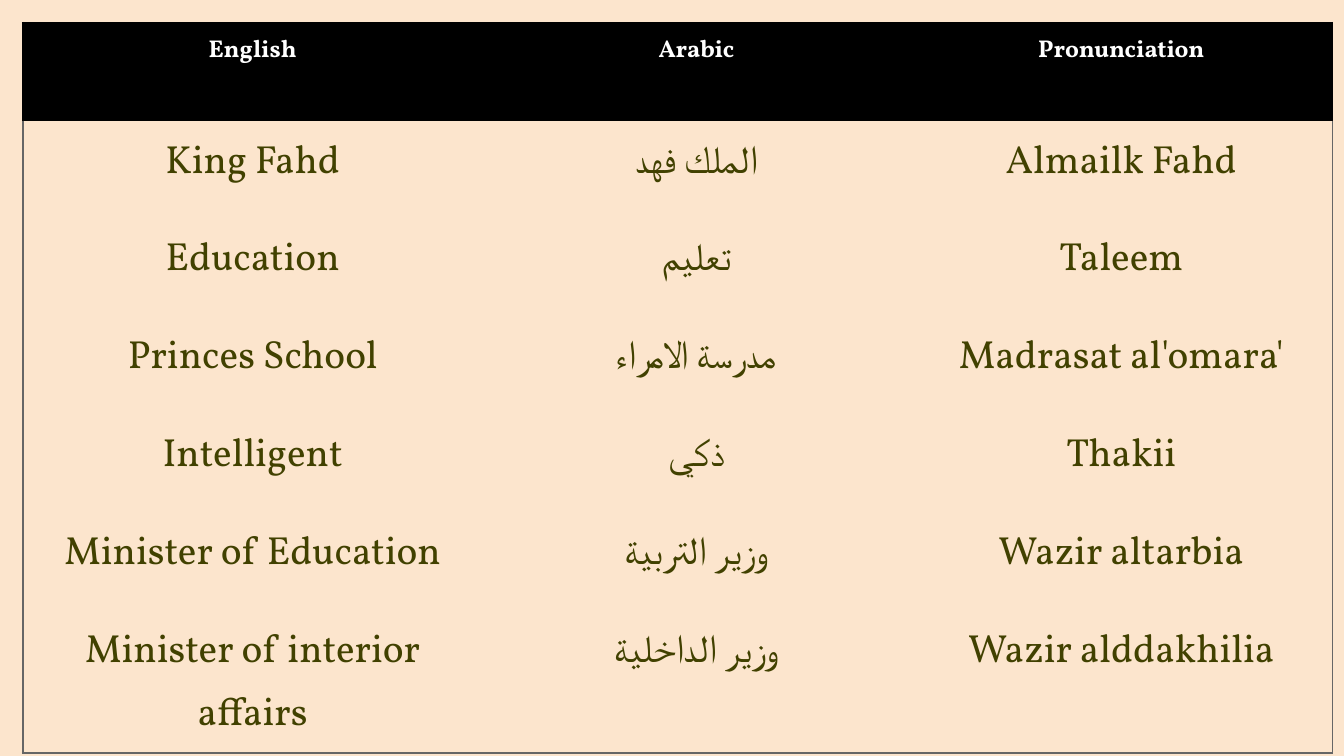
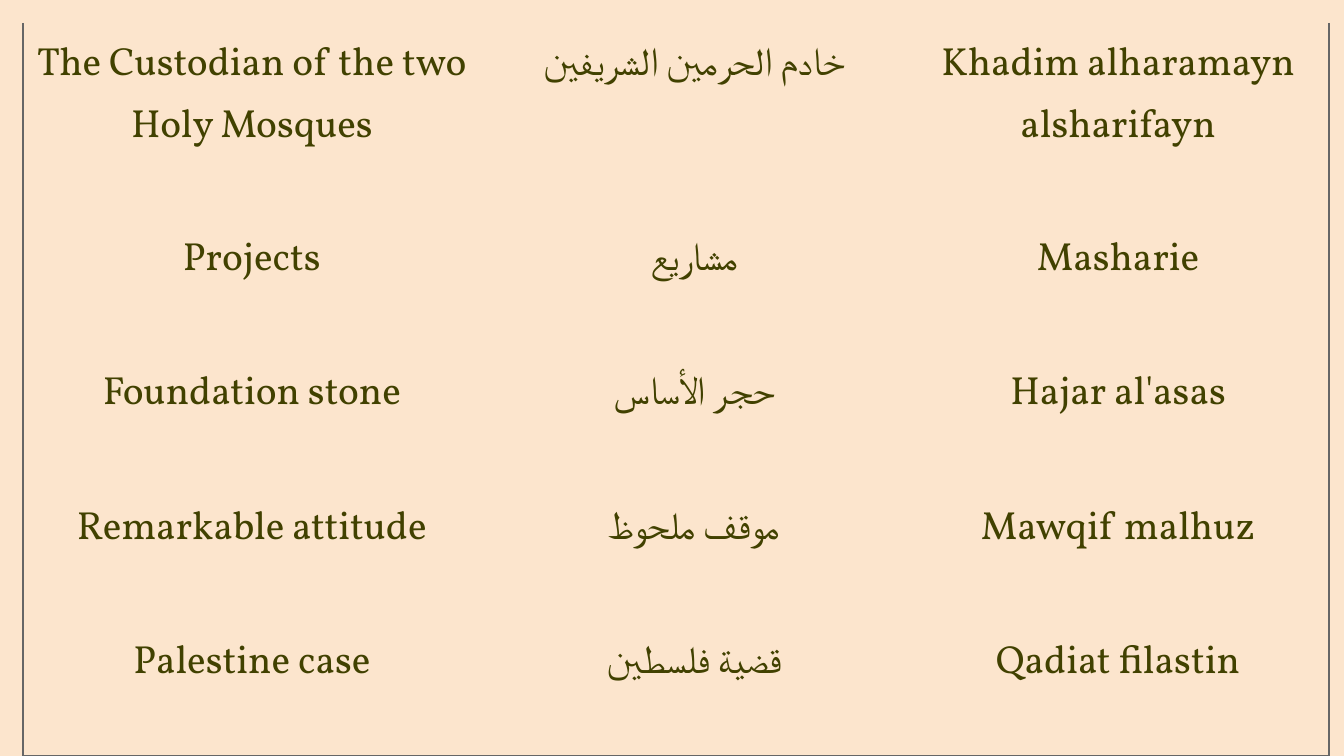
from pptx import Presentation
from pptx.dml.color import RGBColor
from pptx.enum.text import PP_ALIGN
from pptx.oxml.xmlchemy import OxmlElement
from pptx.util import Cm, Pt

CENTER = PP_ALIGN.CENTER
SAND = RGBColor(0xFC, 0xE5, 0xCD)
OLIVE = RGBColor(0x41, 0x41, 0x00)
GREY = RGBColor(0x66, 0x66, 0x66)
BLACK = RGBColor(0x00, 0x00, 0x00)
WHITE = RGBColor(0xFF, 0xFF, 0xFF)
FONT = "Vollkorn"
MARGIN = Cm(0.43)

HEADER = ("English", "Arabic", "Pronunciation")
PEOPLE = [
    HEADER,
    ("King Fahd", "الملك فهد", "Almailk Fahd"),
    ("Education", "تعليم", "Taleem"),
    ("Princes School", "مدرسة الامراء", "Madrasat al'omara'"),
    ("Intelligent", "ذكي", "Thakii"),
    ("Minister of Education", "وزير التربية", "Wazir altarbia"),
    ("Minister of interior affairs", "وزير الداخلية", "Wazir alddakhilia"),
]
PLACES = [
    ("The Custodian of the two Holy Mosques", "خادم الحرمين الشريفين",
     "Khadim alharamayn alsharifayn"),
    ("Projects", "مشاريع", "Masharie"),
    ("Foundation stone", "حجر الأساس", "Hajar al'asas"),
    ("Remarkable attitude", "موقف ملحوظ", "Mawqif malhuz"),
    ("Palestine case", "قضية فلسطين", "Qadiat filastin"),
]
# words, column widths, row heights, first row with space after its pronunciation
PAGES = [
    (PEOPLE, (8.69, 8.08, 7.98), [1.85] * 6 + [2.7], 5),
    (PLACES, (8.66, 8.05, 7.98), [3.69] + [2.54] * 4, 0),
]


def set_borders(cell, colors):
    """Draw the sides named in colors (L, R, T, B) and clear the others."""
    tcPr = cell._tc.get_or_add_tcPr()
    for side in "LRTB":
        ln = OxmlElement(f"a:ln{side}")
        tcPr.append(ln)
        if side in colors:
            ln.set("w", str(Pt(0.96)))
            fill = OxmlElement("a:solidFill")
            clr = OxmlElement("a:srgbClr")
            clr.set("val", str(colors[side]))
            fill.append(clr)
            ln.append(fill)
        else:
            ln.append(OxmlElement("a:noFill"))


def write_cell(cell, text, is_header, spaced_after):
    cell.margin_left = cell.margin_right = Cm(0.18)
    cell.margin_top = cell.margin_bottom = Cm(0.13)
    p = cell.text_frame.paragraphs[0]
    p.alignment = CENTER
    p.line_spacing = 1.15
    p.space_before = Pt(0 if spaced_after else 12)
    p.space_after = Pt(5 if spaced_after else 0)
    r = p.add_run()
    r.text = text
    r.font.size = Pt(13 if is_header else 21)
    r.font.bold = is_header
    r.font.color.rgb = WHITE if is_header else OLIVE
    r.font.name = FONT
    cs = OxmlElement("a:cs")
    cs.set("typeface", FONT)
    r.font._element.append(cs)


prs = Presentation()
prs.slide_width, prs.slide_height = Cm(25.4), Cm(14.29)
blank = prs.slide_layouts[6]

for words, widths, heights, spaced_from in PAGES:
    s = prs.slides.add_slide(blank)
    s.background.fill.solid()
    s.background.fill.fore_color.rgb = SAND

    table = s.shapes.add_table(len(words), len(widths), MARGIN, MARGIN,
                               Cm(sum(widths)), Cm(sum(heights))).table
    table.horz_banding = False
    table.first_row = words[0] == HEADER
    for column, width in zip(table.columns, widths):
        column.width = Cm(width)

    last_row, last_col = len(words) - 1, len(widths) - 1
    for i, (row, height) in enumerate(zip(words, heights)):
        table.rows[i].height = Cm(height)
        is_header = row == HEADER
        line = BLACK if is_header else GREY
        for j, text in enumerate(row):
            cell = table.cell(i, j)
            borders = {}
            if j == 0:
                borders["L"] = line
            if j == last_col:
                borders["R"] = line
            if is_header:
                borders["T"] = line
            if i == last_row:
                borders["B"] = line
            set_borders(cell, borders)
            if is_header:
                cell.fill.solid()
                cell.fill.fore_color.rgb = BLACK
            else:
                cell.fill.background()
            write_cell(cell, text, is_header, j == last_col and i >= spaced_from)

prs.save("out.pptx")
